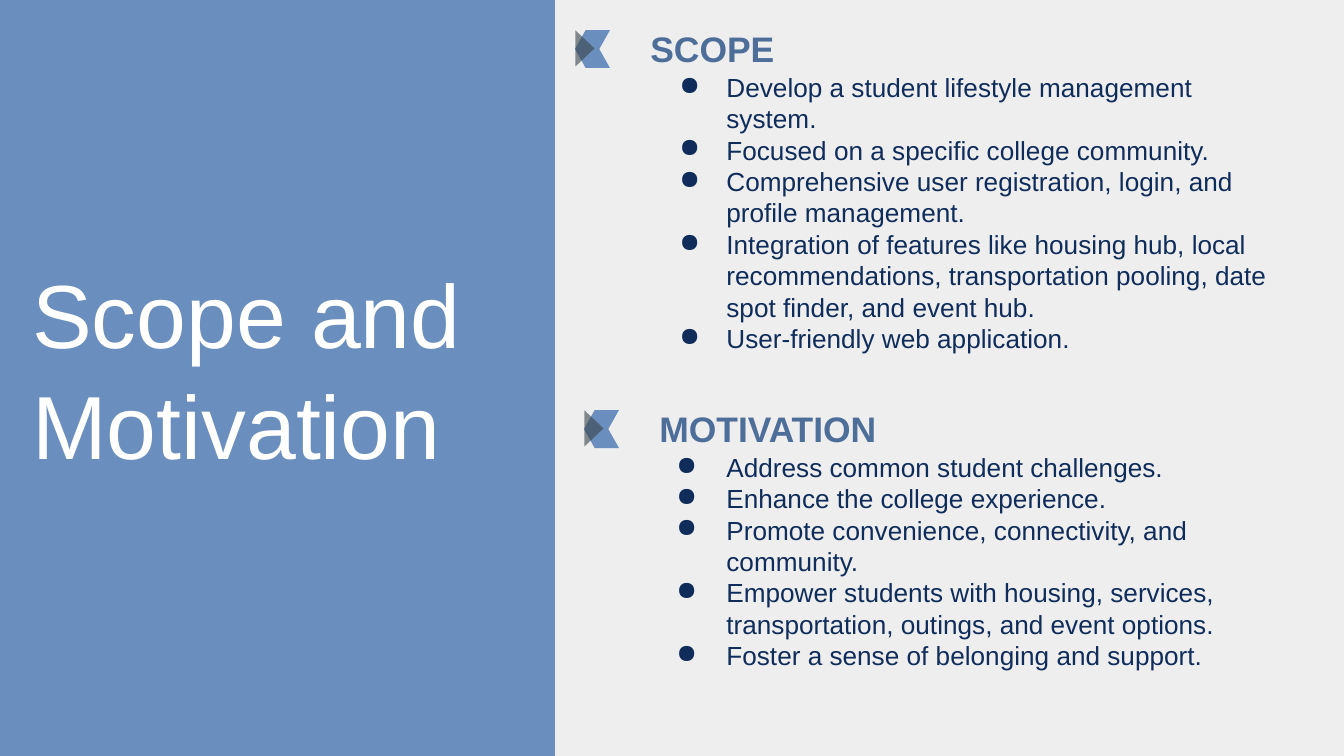
from dataclasses import dataclass
from pptx import Presentation
from pptx.dml.color import RGBColor
from pptx.enum.shapes import MSO_SHAPE
from pptx.enum.text import MSO_ANCHOR
from pptx.oxml.ns import qn
from pptx.util import Pt
from lxml.etree import SubElement


@dataclass(frozen=True)
class Theme:
    font: str = "Arial"
    back: str = "EEEEEE"
    blue: str = "5E85B9"
    dark: str = "38444A"
    white: str = "FFFFFF"
    head: str = "4E6E9A"
    ink: str = "0F2C5A"
    title_size: int = 48
    head_size: int = 19
    list_size: int = 14
    list_pitch: float = 16.8


THEME = Theme()
SCALE = 914400 / 134.4

SCOPE = [
    "Develop a student lifestyle management system.",
    "Focused on a specific college community.",
    "Comprehensive user registration, login, and profile management.",
    "Integration of features like housing hub, local recommendations, "
    "transportation pooling, date spot finder, and event hub.",
    "User-friendly web application.",
]
MOTIVES = [
    "Address common student challenges.",
    "Enhance the college experience.",
    "Promote convenience, connectivity, and community.",
    "Empower students with housing, services, transportation, outings, "
    "and event options.",
    "Foster a sense of belonging and support.",
]


def px(n):
    return round(n * SCALE)


def assign(item, values):
    for name, value in values.items():
        setattr(item, name, value)


def add_shape(parent, kind, box, color, alpha):
    """Add a borderless preset shape with a see-through fill."""
    shape = parent.add_shape(kind, *map(px, box))
    shape.shadow.inherit = False
    shape.line.fill.background()
    shape.fill.solid()
    shape.fill.fore_color.rgb = RGBColor.from_string(color)
    tint = shape.fill._xPr.find(".//" + qn("a:srgbClr"))
    SubElement(tint, qn("a:alpha")).set("val", str(alpha * 1000))
    return shape


def add_text(slide, box, lines, size, color, bold=False,
             anchor=MSO_ANCHOR.TOP, pitch=None):
    """Add a wrapped text box with one paragraph per line."""
    frame = slide.shapes.add_textbox(*map(px, box)).text_frame
    sides = ("left", "right", "top", "bottom")
    assign(frame, {f"margin_{side}": px(13.4) for side in sides})
    assign(frame, {"word_wrap": True, "vertical_anchor": anchor})
    frame.text = "\n".join(lines)
    for para in frame.paragraphs:
        para.line_spacing = pitch
        font = para.runs[0].font
        assign(font, {"name": THEME.font, "size": Pt(size), "bold": bold})
        font.color.rgb = RGBColor.from_string(color)
    return frame


def add_list(slide, box, lines, hang):
    """Add a bulleted list whose markers hang left of the text."""
    frame = add_text(slide, box, lines, THEME.list_size, THEME.ink,
                     pitch=Pt(THEME.list_pitch))
    for para in frame.paragraphs:
        props = para._p.get_or_add_pPr()
        props.set("marL", str(px(67)))
        props.set("indent", str(-px(hang)))
        tint = SubElement(props, qn("a:buClr"))
        SubElement(tint, qn("a:srgbClr")).set("val", THEME.ink)
        SubElement(props, qn("a:buChar")).set("char", "●")


def add_mark(slide, left, top):
    """Add the folded ribbon: two mirrored bands and a dark triangle."""
    group = slide.shapes.add_group_shape().shapes
    for row in range(2):
        band = add_shape(group, MSO_SHAPE.PARALLELOGRAM,
                         (left, top + 19 * row, 35, 19), THEME.blue, 91)
        band.adjustments[0] = 0.56
        if row:
            band._element.spPr.xfrm.set("flipH", "1")
    fold = add_shape(group, MSO_SHAPE.ISOSCELES_TRIANGLE,
                     (left - 8, top + 9, 36, 19), THEME.dark, 60)
    fold.rotation = 90


def add_part(slide, left, top, head, lines, hang):
    """Add a ribbon mark, its heading and its list."""
    add_mark(slide, left, top)
    add_text(slide, (left + 62, top - 19, 348, 75), [head], THEME.head_size,
             THEME.head, bold=True, anchor=MSO_ANCHOR.MIDDLE)
    add_list(slide, (646, top + 28, 642, 312), lines, hang)


def main():
    deck = Presentation()
    assign(deck, {"slide_width": px(1344), "slide_height": px(756)})
    slide = deck.slides.add_slide(deck.slide_layouts[6])
    slide.background.fill.solid()
    slide.background.fill.fore_color.rgb = RGBColor.from_string(THEME.back)

    # Title panel
    add_shape(slide.shapes, MSO_SHAPE.RECTANGLE, (0, 0, 555, 756),
              THEME.blue, 91)
    add_text(slide, (19, 236, 527, 260), ["Scope and", "Motivation"],
             THEME.title_size, THEME.white, anchor=MSO_ANCHOR.MIDDLE,
             pitch=1.04)

    # Content parts
    add_part(slide, 575, 30, "SCOPE", SCOPE, 47)
    add_part(slide, 584, 410, "MOTIVATION", MOTIVES, 50)
    deck.save("out.pptx")


if __name__ == "__main__":
    main()
